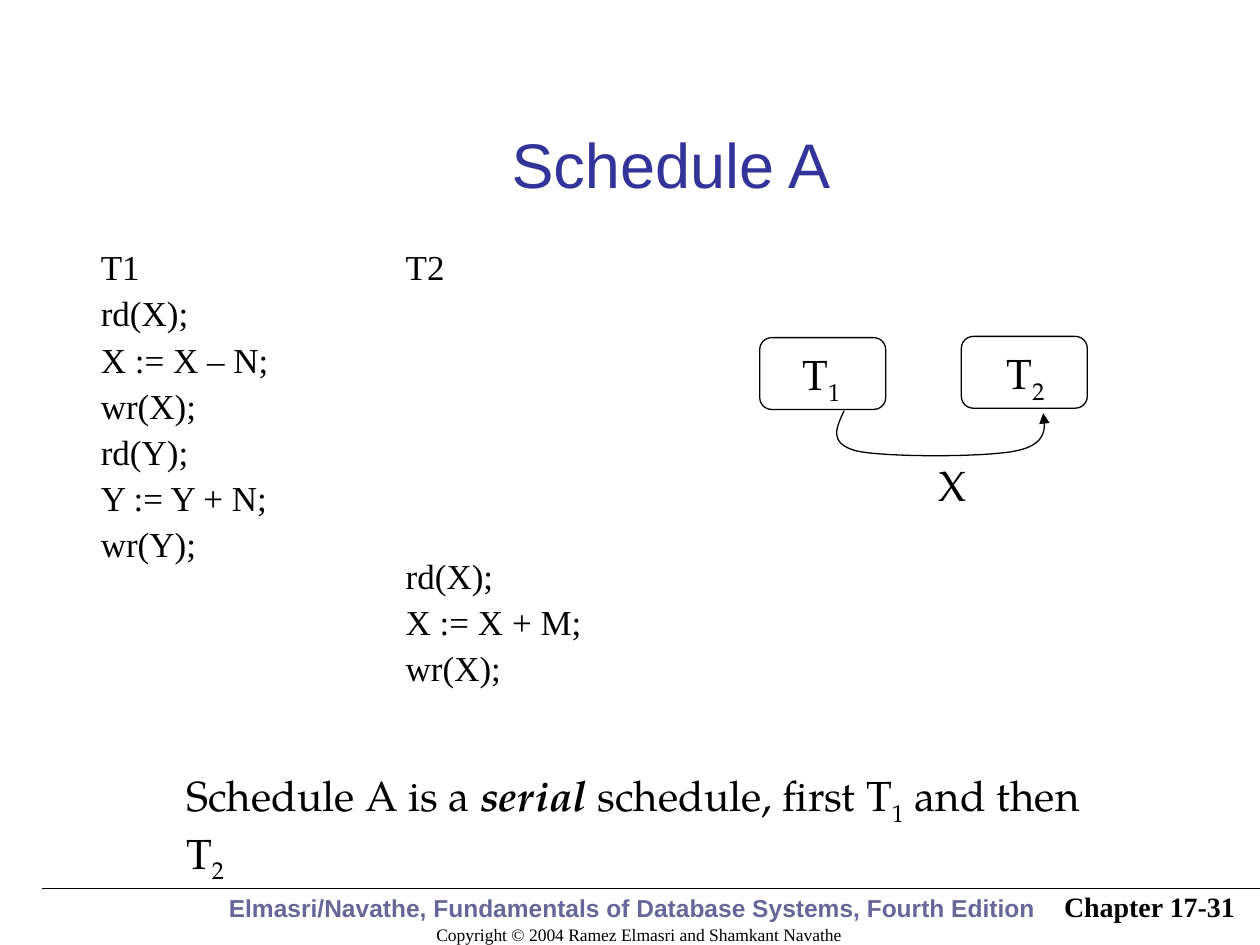
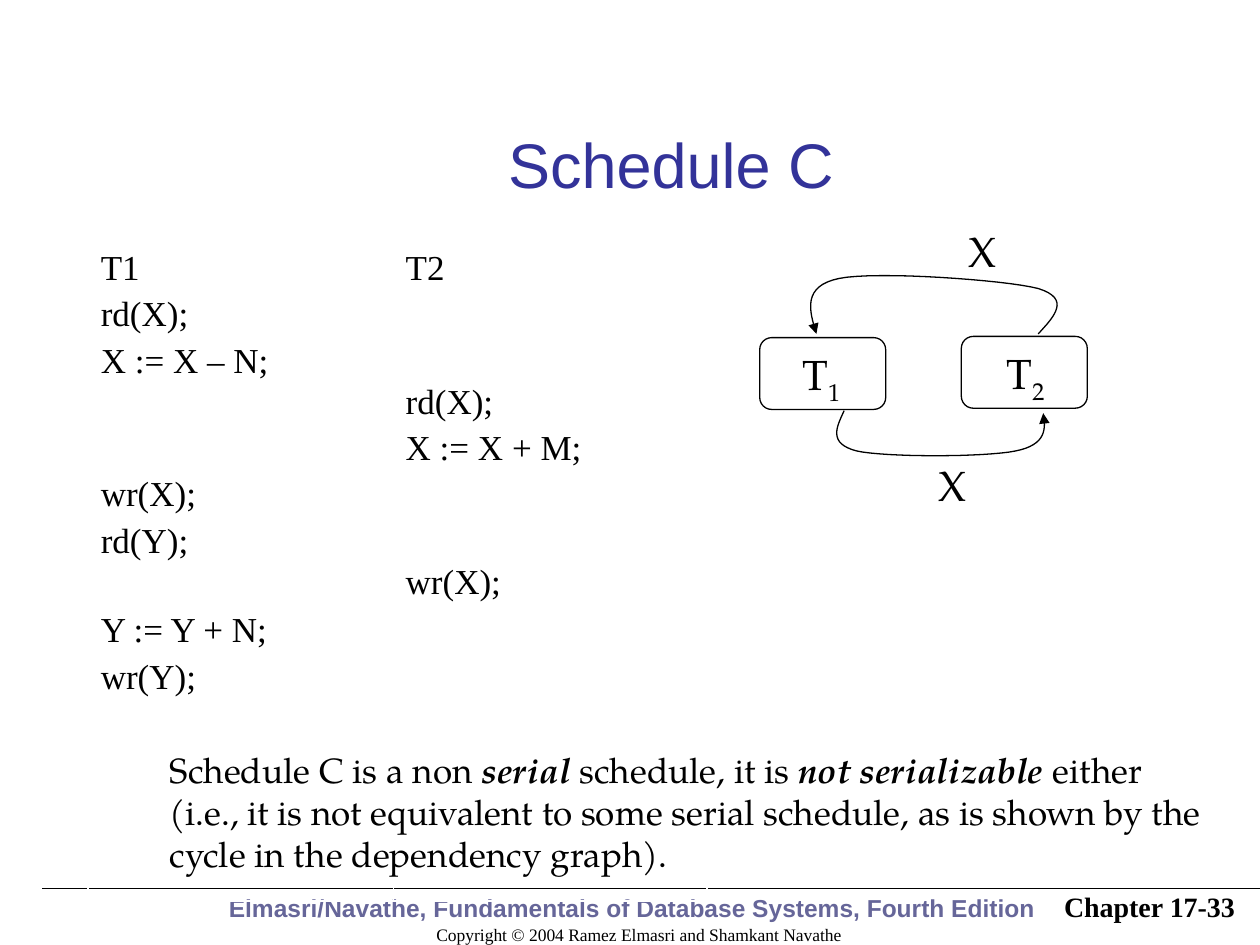
from lxml import etree
from pptx import Presentation
from pptx.dml.color import RGBColor
from pptx.enum.shapes import MSO_CONNECTOR, MSO_SHAPE
from pptx.enum.text import MSO_ANCHOR, MSO_AUTO_SIZE, PP_ALIGN
from pptx.oxml.ns import qn
from pptx.util import Inches, Pt

BLACK = RGBColor(0x00, 0x00, 0x00)
WHITE = RGBColor(0xFF, 0xFF, 0xFF)
TITLE_BLUE = RGBColor(0x33, 0x33, 0x99)
FOOTER_BLUE = RGBColor(0x66, 0x66, 0x99)
SANS, SERIF, BOOK = "Arial", "Times New Roman", "TeX Gyre Pagella"

LEFT, CENTER, RIGHT = PP_ALIGN.LEFT, PP_ALIGN.CENTER, PP_ALIGN.RIGHT
TOP, MIDDLE, BOTTOM = MSO_ANCHOR.TOP, MSO_ANCHOR.MIDDLE, MSO_ANCHOR.BOTTOM
FIT_SHAPE, NO_FIT = MSO_AUTO_SIZE.SHAPE_TO_FIT_TEXT, MSO_AUTO_SIZE.NONE
ROUNDED = MSO_SHAPE.ROUNDED_RECTANGLE
STRAIGHT = MSO_CONNECTOR.STRAIGHT

STRONG, SUB = "strong", "sub"
BOOK_LINE = "Elmasri/Navathe, Fundamentals of Database Systems, Fourth Edition "
COPYRIGHT = "Copyright © 2004 Ramez Elmasri and Shamkant Navathe"

# Each arc is a start point and cubic segments (two controls, one end).
X_BELOW = {
    "start": (6.7, 3.26),
    "curves": [
        ((6.64, 3.39), (6.57, 3.52), (6.8, 3.58)),
        ((7.03, 3.63), (7.81, 3.63), (8.06, 3.58)),
        ((8.31, 3.53), (8.3, 3.4), (8.28, 3.28)),
    ],
    "label_at": (7.35, 3.6),
}
X_ABOVE = {
    "start": (8.24, 2.65),
    "curves": [
        ((8.37, 2.51), (8.5, 2.37), (8.24, 2.29)),
        ((7.97, 2.22), (6.95, 2.15), (6.66, 2.21)),
        ((6.37, 2.27), (6.42, 2.46), (6.48, 2.65)),
    ],
    "label_at": (7.59, 1.74),
}
# Number, node corner, label corner
NODES = [("1", (6.03, 2.68), (6.27, 2.72)), ("2", (7.63, 2.67), (7.89, 2.71))]

# Operations are (time steps skipped before, text).
SCHEDULES = [
    {
        "title": "Schedule A",
        "chapter": "Chapter 17-31",
        "columns": [
            [(0, "T1"), (0, "rd(X);"), (0, "X := X – N;"), (0, "wr(X);"),
             (0, "rd(Y);"), (0, "Y := Y + N;"), (0, "wr(Y);")],
            [(0, "T2"), (6, "rd(X);"), (0, "X := X + M;"), (0, "wr(X);")],
        ],
        "operations_height": 4.06,
        "arcs": [X_BELOW],
        "remark": [("Schedule A is a ", ""), ("serial", STRONG),
                   (" schedule, first T", ""), ("1", SUB),
                   (" and then T", ""), ("2", SUB)],
        "remark_at": (1.38, 6.06, 7.66, 0.56),
        "remark_size": 24,
    },
    {
        "title": "Schedule C",
        "chapter": "Chapter 17-33",
        "columns": [
            [(0, "T1"), (0, "rd(X);"), (0, "X := X – N;"), (2, "wr(X);"),
             (0, "rd(Y);"), (1, "Y := Y + N;"), (0, "wr(Y);")],
            [(0, "T2"), (2, "rd(X);"), (0, "X := X + M;"), (2, "wr(X);")],
        ],
        "operations_height": 4.46,
        "arcs": [X_BELOW, X_ABOVE],
        "remark": [("Schedule C is a non ", ""), ("serial", STRONG),
                   (" schedule, it is ", ""), ("not serializable", STRONG),
                   (" either (i.e., it is not equivalent to some serial schedule, "
                    "as is shown by the cycle in the dependency graph).", "")],
        "remark_at": (1.25, 5.89, 8.48, 1.1),
        "remark_size": 20,
    },
]

COLUMN_WIDTHS = (2.42, 2.49)
LAST_ROW_HEIGHT = 0.76
LINE_GAP, SKIPPED_STEP = 4.2, 25
CURVE_STEPS = 16


def add_span(para, text, font, size, color=BLACK, style="", bold=False):
    span = para.add_run()
    span.text = text
    span.font.name, span.font.size = font, Pt(size)
    span.font.color.rgb = color
    span.font.bold = bold or style == STRONG
    span.font.italic = style == STRONG
    if style == SUB:
        span.font._element.set("baseline", "-25000")


def add_text(page, at, spans, font, size, color=BLACK, bold=False,
             align=LEFT, anchor=TOP, wrap=True):
    box = page.shapes.add_textbox(*map(Inches, at))
    frame = box.text_frame
    frame.word_wrap, frame.vertical_anchor = wrap, anchor
    frame.auto_size = NO_FIT if wrap else FIT_SHAPE
    para = frame.paragraphs[0]
    para.alignment = align
    for text, style in spans:
        add_span(para, text, font, size, color, style, bold)


def set_outline(shape):
    shape.line.color.rgb = BLACK
    shape.line.width = Pt(0.75)


def add_footer(page, chapter):
    add_text(page, (2.85, 7.05, 4.44, 0.5), [(COPYRIGHT, "")], SERIF, 10,
             align=CENTER, anchor=BOTTOM)
    add_text(page, (0.9, 6.87, 8.29, 0.5), [(BOOK_LINE, "")], SANS, 14,
             FOOTER_BLUE, True, CENTER, BOTTOM)
    rule = page.shapes.add_connector(
        STRAIGHT, *map(Inches, (10, 7.05, 0.33, 7.05)))
    set_outline(rule)
    etree.SubElement(rule._element.spPr, qn("a:effectLst"))
    add_text(page, (7.82, 6.98, 2.08, 0.42), [(chapter, "")], SERIF, 16,
             bold=True, align=RIGHT, anchor=MIDDLE)


def set_title(page, text):
    title = page.shapes.title
    title.left, title.top, title.width, title.height = map(
        Inches, (1.4, 0.67, 7.85, 1.25))
    frame = title.text_frame
    frame.auto_size, frame.vertical_anchor = NO_FIT, MIDDLE
    para = frame.paragraphs[0]
    para.alignment = CENTER
    add_span(para, text, SANS, 36, TITLE_BLUE)


def set_white_borders(cell, outer_sides):
    properties = cell._tc.get_or_add_tcPr()
    for side in "LRTB":
        width = Pt(1.08 if side in outer_sides else 0.45)
        border = etree.SubElement(properties, qn(f"a:ln{side}"), w=str(width))
        fill = etree.SubElement(border, qn("a:solidFill"))
        etree.SubElement(fill, qn("a:srgbClr"), val=str(WHITE))


def add_operations(page, columns, operations_height):
    heights = (operations_height, LAST_ROW_HEIGHT)
    table = page.shapes.add_table(
        2, 2, Inches(0.7), Inches(1.93),
        Inches(sum(COLUMN_WIDTHS)), Inches(sum(heights))).table
    table.first_row = table.horz_banding = False
    for row, height in zip(table.rows, heights):
        row.height = Inches(height)
    for index, width in enumerate(COLUMN_WIDTHS):
        table.columns[index].width = Inches(width)
        for row_index in range(2):
            cell = table.cell(row_index, index)
            set_white_borders(cell, "LR"[index] + "TB"[row_index])
            cell.fill.background()
        frame = table.cell(0, index).text_frame
        for line, (skipped, text) in enumerate(columns[index]):
            para = frame.add_paragraph() if line else frame.paragraphs[0]
            if line:
                para.space_before = Pt(LINE_GAP + skipped * SKIPPED_STEP)
            add_span(para, text, SERIF, 20)


def curve_points(start, curves):
    """Return points along a chain of cubic curves, without the start."""
    points = []
    for first, second, end in curves:
        for step in range(1, CURVE_STEPS + 1):
            t = step / CURVE_STEPS
            u = 1 - t
            points.append(tuple(
                Inches(u**3 * a + 3 * u * u * t * b + 3 * u * t * t * c + t**3 * d)
                for a, b, c, d in zip(start, first, second, end)))
        start = end
    return points


def add_arc(page, arc):
    builder = page.shapes.build_freeform(*map(Inches, arc["start"]))
    builder.add_line_segments(
        curve_points(arc["start"], arc["curves"]), close=False)
    shape = builder.convert_to_shape()
    shape.shadow.inherit = False
    shape.fill.background()
    set_outline(shape)
    etree.SubElement(shape.line._get_or_add_ln(), qn("a:tailEnd"), type="triangle")
    add_text(page, (*arc["label_at"], 0.42, 0.5), [("X", "")], BOOK, 24, wrap=False)


def add_dependency_graph(page, arcs):
    for number, corner, label_corner in NODES:
        node = page.shapes.add_shape(ROUNDED, *map(Inches, (*corner, 1, 0.57)))
        node.shadow.inherit = False
        node.fill.background()
        set_outline(node)
        add_text(page, (*label_corner, 0.5, 0.56), [("T", ""), (number, SUB)],
                 BOOK, 24, wrap=False)
    for arc in arcs:
        add_arc(page, arc)


def main():
    deck = Presentation()
    deck.slide_width, deck.slide_height = Inches(10), Inches(7.5)
    title_only = deck.slide_layouts[5]
    for schedule in SCHEDULES:
        page = deck.slides.add_slide(title_only)
        add_footer(page, schedule["chapter"])
        set_title(page, schedule["title"])
        add_operations(page, schedule["columns"], schedule["operations_height"])
        add_dependency_graph(page, schedule["arcs"])
        add_text(page, schedule["remark_at"], schedule["remark"], BOOK,
                 schedule["remark_size"])
    deck.save("out.pptx")


if __name__ == "__main__":
    main()
